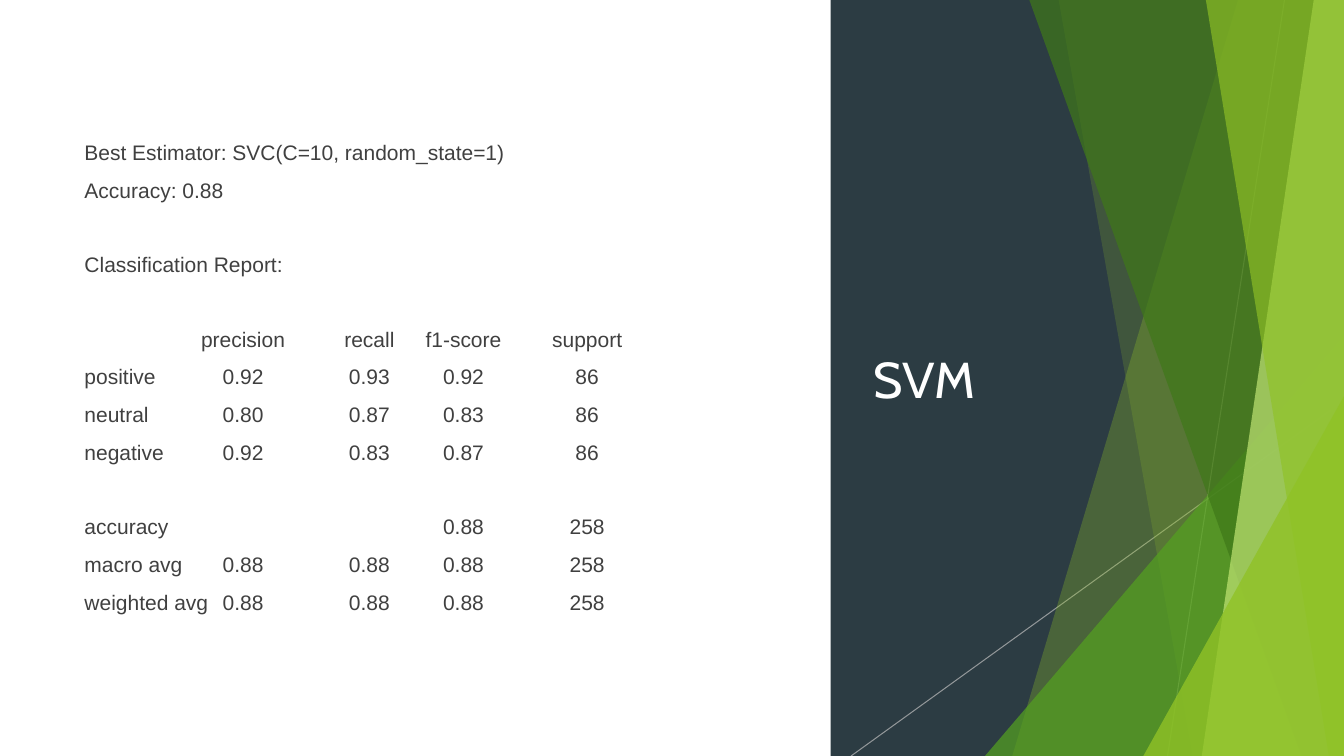
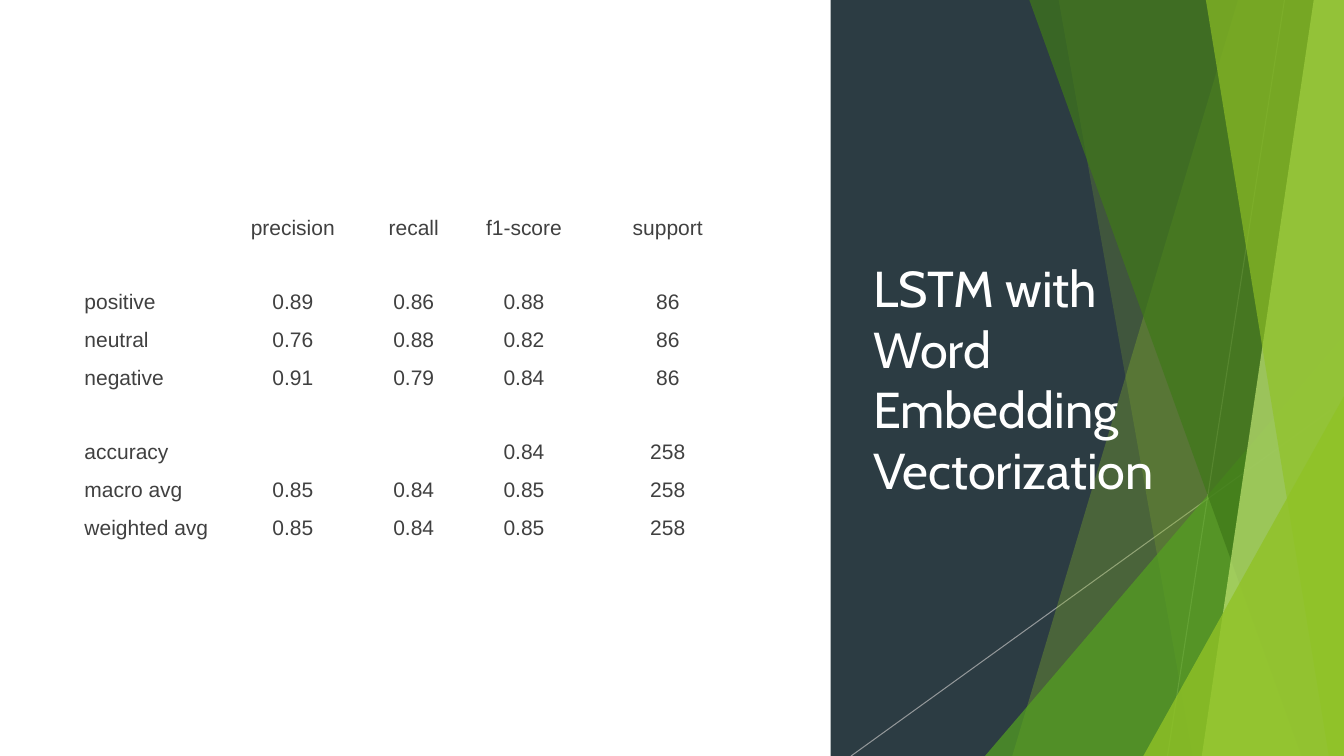
from lxml import etree
from pptx import Presentation
from pptx.dml.color import RGBColor
from pptx.enum.shapes import MSO_CONNECTOR, MSO_SHAPE
from pptx.enum.text import MSO_ANCHOR, MSO_AUTO_SIZE, PP_ALIGN
from pptx.oxml.ns import qn
from pptx.util import Inches, Pt

RECT = MSO_SHAPE.RECTANGLE
WEDGE = MSO_SHAPE.ISOSCELES_TRIANGLE
STRAIGHT = MSO_CONNECTOR.STRAIGHT
MIDDLE = MSO_ANCHOR.MIDDLE
LEFT = PP_ALIGN.LEFT
NO_FIT = MSO_AUTO_SIZE.NONE

COLORS = {"panel": "2C3C43", "lime": "90C226", "green": "54A021",
          "forest": "3F7819", "pale": "C0E474", "line": "BFBFBF",
          "text": "404040", "title": "FFFFFF"}
BODY_FONT, TITLE_FONT = "Arial", "Cabin"
STEP, GAP = Pt(10.75), Pt(37)  # space before a line, and before a block

# All places are percentages of the slide's width and height.
PANEL = 61.8
BODY = (5.55, 18.35, 50.5, 63.45)
TITLE = (64.22, 18.3, 27.68, 63.45)
RAYS = [(95.57, 0, 86.87, 100), (99, 54.27, 63.32, 100)]
BACK = [(92.12, 75.32, "lime", 30), (78.77, 88.75, "lime", 20)]
FRONT = [(76.59, 96.85, "forest", 70), (97.75, 89.42, "pale", 70),
         (89.72, 98.87, "lime", 65)]

HEAD = ("", "precision", "recall", "f1-score", "support")
SVM = [
    [("Best Estimator: SVC(C=10, random_state=1)",), ("Accuracy: 0.88",)],
    [("Classification Report:",)],
    [HEAD,
     ("positive", "0.92", "0.93", "0.92", "86"),
     ("neutral", "0.80", "0.87", "0.83", "86"),
     ("negative", "0.92", "0.83", "0.87", "86")],
    [("accuracy", "", "", "0.88", "258"),
     ("macro avg", "0.88", "0.88", "0.88", "258"),
     ("weighted avg", "0.88", "0.88", "0.88", "258")],
]
LSTM = [
    [HEAD],
    [("positive", "0.89", "0.86", "0.88", "86"),
     ("neutral", "0.76", "0.88", "0.82", "86"),
     ("negative", "0.91", "0.79", "0.84", "86")],
    [("accuracy", "", "", "0.84", "258"),
     ("macro avg", "0.85", "0.84", "0.85", "258"),
     ("weighted avg", "0.85", "0.84", "0.85", "258")],
]


class Deck:
    """Holds the presentation, its style and the current slide."""

    def __init__(self):
        self.prs = Presentation()
        self.prs.slide_width = Inches(13.33)
        self.prs.slide_height = Inches(7.5)
        self.slide = None

    def across(self, share):
        return round(self.prs.slide_width * share / 100)

    def down(self, share):
        return round(self.prs.slide_height * share / 100)

    def place(self, x, y, w, h):
        return self.across(x), self.down(y), self.across(w), self.down(h)

    def tint(self, fill, color, alpha=100):
        """Set a solid fill with the given opacity in percent."""
        fill.solid()
        fill.fore_color.rgb = RGBColor.from_string(COLORS[color])
        if alpha < 100:
            tag = fill._xPr.find(".//" + qn("a:srgbClr"))
            etree.SubElement(tag, qn("a:alpha"), val=str(alpha * 1000))

    def paint(self, shape, color, alpha=100):
        shape.shadow.inherit = False
        shape.line.fill.background()
        self.tint(shape.fill, color, alpha)

    def ray(self, x1, y1, x2, y2):
        line = self.slide.shapes.add_connector(
            STRAIGHT, self.across(x1), self.down(y1),
            self.across(x2), self.down(y2))
        line.line.width = Pt(0.75)
        self.tint(line.line.fill, "line", 70)
        etree.SubElement(line._element.spPr, qn("a:effectLst"))

    def shard(self, top, base, color, alpha):
        """Fill the area between a slanted edge and the right side."""
        right, foot = self.across(100), self.down(100)
        form = self.slide.shapes.build_freeform(self.across(top), 0)
        form.add_line_segments(
            [(right, 0), (right, foot), (self.across(base), foot)])
        self.paint(form.convert_to_shape(), color, alpha)

    def wedge(self, x, y, color, alpha):
        """Put a right triangle into the lower right corner."""
        shape = self.slide.shapes.add_shape(
            WEDGE, *self.place(x, y, 100 - x, 100 - y))
        shape.adjustments[0] = 1
        self.paint(shape, color, alpha)

    def panel(self):
        rect = self.slide.shapes.add_shape(
            RECT, *self.place(PANEL, 0, 100 - PANEL, 100))
        self.paint(rect, "panel")
        for ray in RAYS:
            self.ray(*ray)
        for shard in BACK:
            self.shard(*shard)
        self.wedge(73.29, 44.4, "green", 72)
        for shard in FRONT:
            self.shard(*shard)
        self.wedge(85.07, 52.4, "lime", 80)

    def style(self, para, font, size, color):
        para.alignment = LEFT
        for run in para.runs:
            run.font.name = font
            run.font.size = Pt(size)
            run.font.color.rgb = RGBColor.from_string(COLORS[color])

    def frame(self, shape):
        frame = shape.text_frame
        frame.word_wrap = True
        frame.auto_size = NO_FIT
        frame.vertical_anchor = MIDDLE
        return frame

    def title(self, text):
        shape = self.slide.shapes.title
        shape.left, shape.top, shape.width, shape.height = self.place(*TITLE)
        self.slide.shapes._spTree.append(shape._element)  # bring to front
        frame = self.frame(shape)
        frame.text = text
        self.style(frame.paragraphs[0], TITLE_FONT, 36, "title")

    def tabs(self, para, stops):
        tag = etree.SubElement(para._p.get_or_add_pPr(), qn("a:tabLst"))
        for stop in stops:
            etree.SubElement(tag, qn("a:tab"),
                             pos=str(self.across(stop)), algn="ctr")

    def report(self, blocks, stops):
        frame = self.frame(self.slide.shapes.add_textbox(*self.place(*BODY)))
        for i, block in enumerate(blocks):
            for j, cells in enumerate(block):
                first = i == j == 0
                para = frame.paragraphs[0] if first else frame.add_paragraph()
                para.text = "\t".join(cells)
                if len(cells) > 1:
                    self.tabs(para, stops)
                para.line_spacing = 0.9
                if not first:
                    para.space_before = STEP if j else GAP
                self.style(para, BODY_FONT, 15, "text")

    def page(self, title, blocks, stops):
        self.slide = self.prs.slides.add_slide(self.prs.slide_layouts[5])
        self.report(blocks, stops)
        self.panel()
        self.title(title)


def main():
    deck = Deck()
    deck.page("SVM", SVM, (11.8, 21.2, 28.2, 37.4))
    deck.page("LSTM with Word Embedding Vectorization", LSTM,
              (15.5, 24.5, 32.7, 43.4))
    deck.prs.save("out.pptx")


if __name__ == "__main__":
    main()
